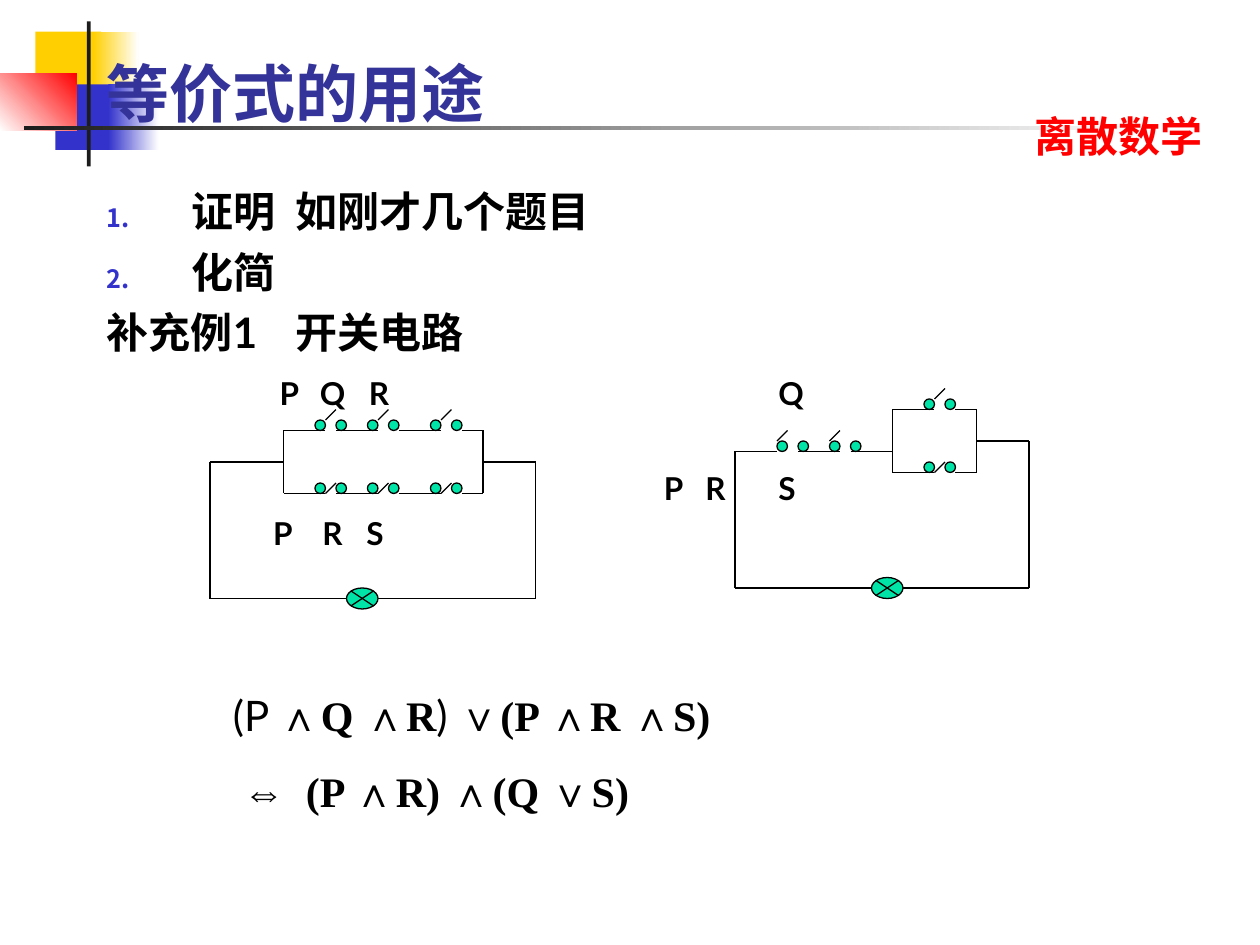
from lxml import etree
from pptx import Presentation
from pptx import util as u
from pptx.dml.color import RGBColor
from pptx.enum import shapes, text
from pptx.oxml.ns import qn

deck = Presentation()
deck.slide_width, deck.slide_height = u.Inches(10), u.Inches(7.5)
page = deck.slides.add_slide(deck.slide_layouts[6])


def color(value):
    return RGBColor.from_string(value)


def add_part(parent, tag, **attributes):
    return etree.SubElement(parent, qn(tag), attributes)


# Corner decoration: left, top, width, height, colours, gradient angle
decoration = [
    (0.28, 0.25, 0.52, 0.52, ["FFCF01"], 0),
    (0.74, 0.25, 0.36, 0.52, ["FFCF01", "FFFFFF"], 0),
    (0.44, 0.67, 0.46, 0.52, ["3333CC"], 0),
    (0.86, 0.67, 0.4, 0.52, ["3333CC", "FFFFFF"], 0),
    (0, 0.58, 0.61, 0.46, ["FFFFFF", "FF0000"], 45),
    (0.69, 0.17, 0.03, 1.15, ["1C1C1C"], 0),
    (0.19, 1, 9, 0.03, ["1C1C1C", "FFFFFF"], 0),
]
for left, top, width, height, colors, angle in decoration:
    block = page.shapes.add_shape(shapes.MSO_SHAPE.RECTANGLE, u.Inches(left), u.Inches(top),
                                  u.Inches(width), u.Inches(height))
    block.shadow.inherit = False
    block.line.fill.background()
    if len(colors) == 1:
        block.fill.solid()
        block.fill.fore_color.rgb = color(colors[0])
    else:
        block.fill.gradient()
        block.fill.gradient_angle = angle
        for position, (stop, value) in enumerate(zip(block.fill.gradient_stops, colors)):
            stop.position = position
            stop.color.rgb = color(value)

# Text boxes: left, top, width, height, anchor, paragraphs
# Paragraph: space before, left margin, first indent, tab stops, numbered, runs
# Run: words, size, font, colour, bold
LATO, TIMES, BLACK = "Lato", "Times New Roman", "000000"
top_anchor, bottom_anchor = text.MSO_ANCHOR.TOP, text.MSO_ANCHOR.BOTTOM
boxes = [
    (8.11, 0.83, 1.89, 0.5, top_anchor, [
        (0, 0, 0, [], False, [("离散数学", 24, LATO, "FF0000", True)])]),
    (0.75, 0.25, 8, 0.83, bottom_anchor, [
        (0, 0, 0, [], False, [("等价式的用途", 36, LATO, "333399", True)])]),
    (0.75, 1.42, 8.5, 1.5, top_anchor, [
        (0, 0.67, -0.67, [1.5], True, [("证明\t如刚才几个题目", 24, LATO, BLACK, True)]),
        (6, 0.67, -0.67, [], True, [("化简", 24, LATO, BLACK, True)]),
        (6, 0, 0, [1.5], False, [("补充例1\t开关电路", 24, LATO, BLACK, True)])]),
    (1.75, 5.42, 4.25, 1.11, top_anchor, [
        (0, 0, 0, [], False, [("(P ", 24, LATO, BLACK, False),
                              ("∧Q ∧R", 24, TIMES, BLACK, True),
                              (") ", 24, LATO, BLACK, False),
                              ("∨(P ∧R ∧S)", 24, TIMES, BLACK, True)]),
        (15, 0.08, 0, [0.58], False, [("⇔", 24, "Arial", BLACK, False),
                                      ("\t(P ∧R) ∧(Q ∨S)", 24, TIMES, BLACK, True)])]),
]

# Switch labels, one box each: top of the row, then letter and left edge
label_rows = [
    (2.97, [("P", 2.22), ("Q", 2.54), ("R", 2.93), ("Q", 6.18)]),
    (3.72, [("P", 5.27), ("R", 5.6), ("S", 6.18)]),
    (4.08, [("P", 2.17), ("R", 2.56), ("S", 2.91)]),
]
INSET_X, INSET_Y = 0.1, 0.05
for top, labels in label_rows:
    for letter, left in labels:
        boxes.append((left - INSET_X, top - INSET_Y, 0.45, 0.4, top_anchor, [
            (0, 0, 0, [], False, [(letter, 18, LATO, BLACK, True)])]))

for left, top, width, height, anchor, paragraphs in boxes:
    box = page.shapes.add_textbox(u.Inches(left), u.Inches(top), u.Inches(width), u.Inches(height))
    frame = box.text_frame
    frame.word_wrap = True
    frame.vertical_anchor = anchor
    for index, (before, margin, indent, tabs, numbered, runs) in enumerate(paragraphs):
        para = frame.add_paragraph() if index else frame.paragraphs[0]
        properties = para._p.get_or_add_pPr()
        properties.set("marL", str(u.Inches(margin)))
        properties.set("indent", str(u.Inches(indent)))
        if numbered:
            add_part(add_part(properties, "a:buClr"), "a:srgbClr", val="3333CC")
            add_part(properties, "a:buSzPct", val="60000")
            add_part(properties, "a:buAutoNum", type="arabicPeriod")
        if tabs:
            stops = add_part(properties, "a:tabLst")
            for tab in tabs:
                add_part(stops, "a:tab", pos=str(u.Inches(tab)), algn="l")
        para.space_before = u.Pt(before)
        for words, size, font, value, bold in runs:
            span = para.add_run()
            span.text = words
            span.font.size, span.font.name, span.font.bold = u.Pt(size), font, bold
            span.font.color.rgb = color(value)

# Circuits lie on a grid of twelve units to the inch
UNIT = u.Inches(1) / 12
wires = [
    # Left circuit: outer loop, inner frame
    (20, 44, 20, 57), (20, 57, 51, 57), (51, 44, 51, 57), (20, 44, 27, 44), (46, 44, 51, 44),
    (27, 41, 27, 47), (46, 41, 46, 47),
    # Right circuit: outer loop, series row, inner frame
    (70, 43, 70, 56), (70, 56, 98, 56), (98, 42, 98, 56), (93, 42, 98, 42),
    (70, 43, 74, 43), (76, 43, 80, 43), (81, 43, 85, 43),
    (85, 39, 85, 45), (93, 39, 93, 45),
]
for y in (41, 47):
    wires += [(start, y, end, y) for start, end in ((27, 31), (32, 36), (38, 42), (44, 46))]
for y in (39, 45):
    wires += [(85, y, 89, y), (91, y, 93, y)]

# Switches: left contact, wire height, blade start
switches = [(x, 41, x + 1, 40) for x in (30, 35, 41)]
switches += [(x, 47, x + 1, 47) for x in (30, 35, 41)]
switches += [(74, 43, 74, 42), (79, 43, 79, 42), (88, 39, 89, 38), (88, 45, 89, 45)]
wires += [(x, y, x + 1, y - 1) for _, _, x, y in switches]

for ends in wires:
    wire = page.shapes.add_connector(shapes.MSO_CONNECTOR.STRAIGHT,
                                     *(u.Emu(round(end * UNIT)) for end in ends))
    wire.line.width = u.Pt(0.75)
    wire.line.color.rgb = color(BLACK)
    add_part(wire._element.spPr, "a:effectLst")

# Switch contacts and lamps
symbols = [(shapes.MSO_SHAPE.OVAL, x + step, y - 1, 1, 1)
           for x, y, _, _ in switches for step in (0, 2)]
symbols += [(shapes.MSO_SHAPE.FLOWCHART_SUMMING_JUNCTION, x, y, 3, 2)
            for x, y in ((33, 56), (83, 55))]
for kind, *place in symbols:
    symbol = page.shapes.add_shape(kind, *(u.Emu(round(value * UNIT)) for value in place))
    symbol.shadow.inherit = False
    symbol.fill.solid()
    symbol.fill.fore_color.rgb = color("00E4A8")
    symbol.line.width = u.Pt(0.75)
    symbol.line.color.rgb = color(BLACK)

deck.save("out.pptx")
